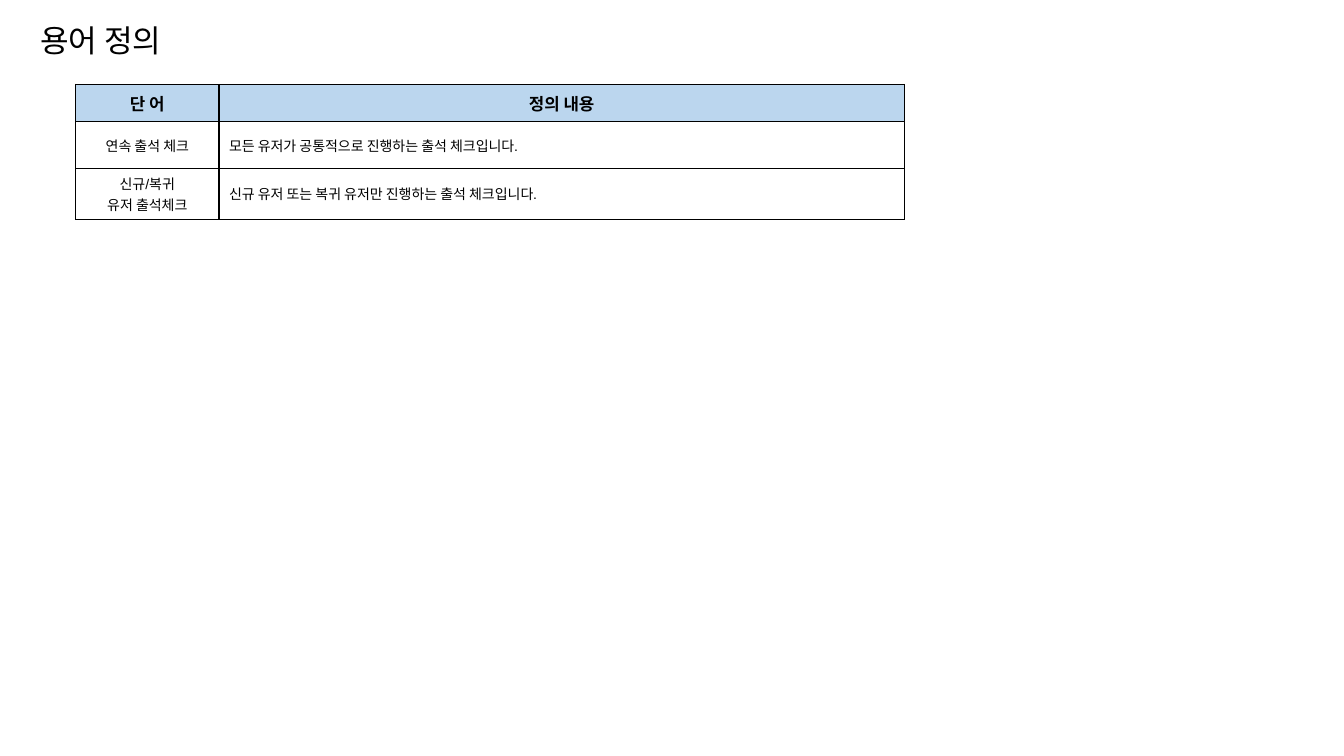
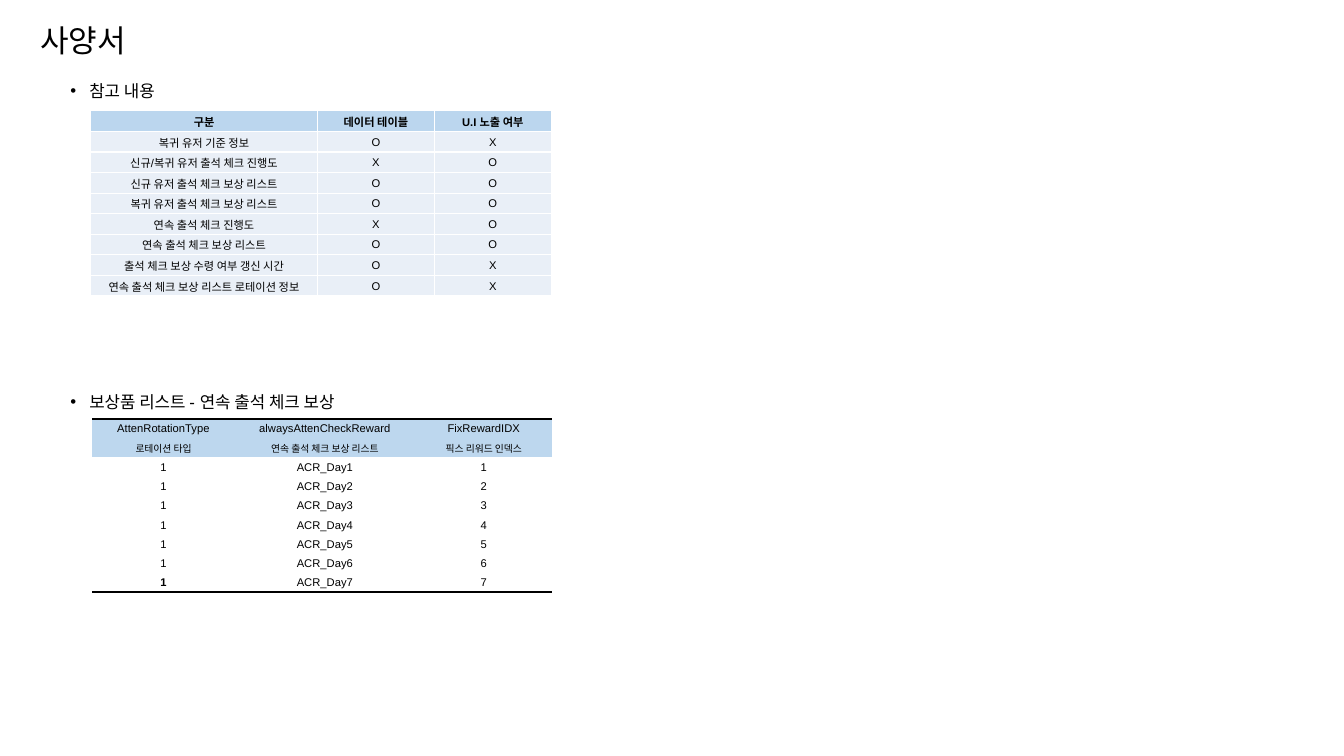
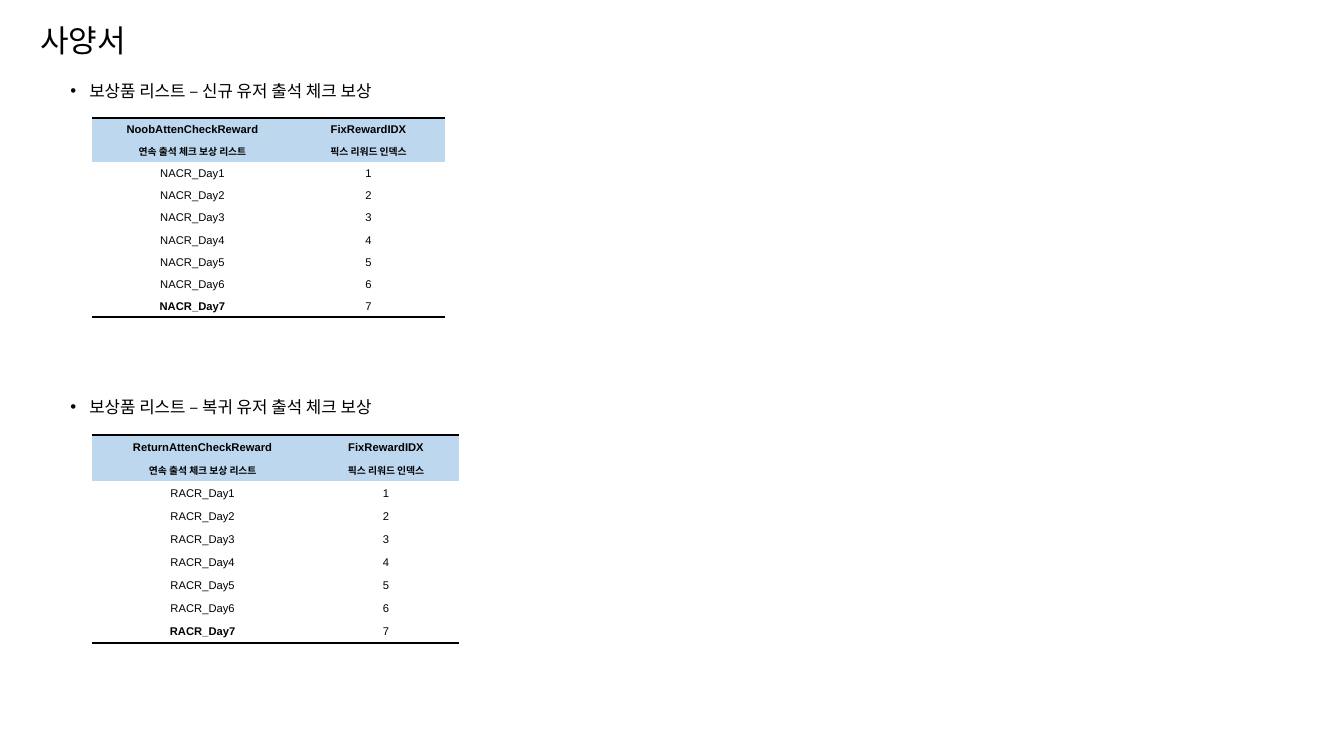
from lxml import etree
from pptx import Presentation
from pptx.dml.color import RGBColor
from pptx.enum.text import MSO_ANCHOR, MSO_AUTO_SIZE, PP_ALIGN
from pptx.oxml.ns import qn
from pptx.util import Pt

LEFT, MID = PP_ALIGN.LEFT, PP_ALIGN.CENTER
TOP, CENTRE = MSO_ANCHOR.TOP, MSO_ANCHOR.MIDDLE
FIXED = MSO_AUTO_SIZE.NONE
FONT = "Arial"
TITLE_ONLY = 5
NO_GRID = "{2D5ABB26-0587-4C30-8999-92F81FD0307C}"
HEX = {"ink": "000000", "paper": "FFFFFF", "head": "BBD6EE",
       "tint": "E9EFF7", "band": "BDD7EE"}
TIGHT = (0.72, 0.72, 0.72, 0)
ROOMY = (7.2, 3.6, 7.2, 3.6)

TERMS = [
    ("단 어", "정의 내용"),
    ("연속 출석 체크", "모든 유저가 공통적으로 진행하는 출석 체크입니다."),
    ("신규/복귀\n유저 출석체크", "신규 유저 또는 복귀 유저만 진행하는 출석 체크입니다."),
]
NOTES = [
    ("구분", "데이터 테이블", "U.I 노출 여부"),
    ("복귀 유저 기준 정보", "O", "X"),
    ("신규/복귀 유저 출석 체크 진행도", "X", "O"),
    ("신규 유저 출석 체크 보상 리스트", "O", "O"),
    ("복귀 유저 출석 체크 보상 리스트", "O", "O"),
    ("연속 출석 체크 진행도", "X", "O"),
    ("연속 출석 체크 보상 리스트", "O", "O"),
    ("출석 체크 보상 수령 여부 갱신 시간", "O", "X"),
    ("연속 출석 체크 보상 리스트 로테이션 정보", "O", "X"),
]
LIST, INDEX = "연속 출석 체크 보상 리스트", "픽스 리워드 인덱스"
DAYS = range(1, 8)
DAILY = [
    ("AttenRotationType", "alwaysAttenCheckReward", "FixRewardIDX"),
    ("로테이션 타입", LIST, INDEX),
    *(("1", f"ACR_Day{day}", str(day)) for day in DAYS),
]


def prize(name, code):
    return [(name, "FixRewardIDX"), (LIST, INDEX),
            *((f"{code}_Day{day}", str(day)) for day in DAYS)]


def style(par, size, bold=False, align=LEFT):
    par.alignment = align
    for run in par.runs:
        font = run.font
        font.name, font.size, font.bold = FONT, Pt(size), bold
        font.color.rgb = RGBColor.from_string(HEX["ink"])


def inset(box, sides):
    box.margin_left, box.margin_top, box.margin_right, box.margin_bottom = map(Pt, sides)


def edge(cell, sides, tone, width):
    props = cell._tc.get_or_add_tcPr()
    for side in sides:
        line = etree.SubElement(props, qn(f"a:ln{side}"), w=str(Pt(width)))
        fill = etree.SubElement(line, qn("a:solidFill"))
        etree.SubElement(fill, qn("a:srgbClr"), val=HEX[tone])


def start(deck, text):
    page = deck.slides.add_slide(deck.slide_layouts[TITLE_ONLY])
    title = page.shapes.title
    title.left, title.top, title.width, title.height = map(Pt, (21.6, 0.7, 467, 46))
    frame = title.text_frame
    frame.text = text
    frame.auto_size, frame.vertical_anchor = FIXED, TOP
    inset(frame, ROOMY)
    par = frame.paragraphs[0]
    par.line_spacing = 1.4
    style(par, 22.2)
    return page


def bullet(page, top, text):
    box = page.shapes.add_textbox(Pt(43.2), Pt(top), Pt(272), Pt(28.8))
    frame = box.text_frame
    frame.word_wrap = True
    frame.text = text
    par = frame.paragraphs[0]
    par.line_spacing = 1.5
    style(par, 12)
    props = par._p.get_or_add_pPr()
    props.set("marL", str(Pt(13.5)))
    props.set("indent", str(Pt(-13.5)))
    tone = etree.SubElement(props, qn("a:buClr"))
    etree.SubElement(tone, qn("a:srgbClr"), val=HEX["ink"])
    etree.SubElement(props, qn("a:buFont"), typeface=FONT)
    etree.SubElement(props, qn("a:buChar"), char="•")


def grid(page, left, top, cols, highs, rows, look):
    shape = page.shapes.add_table(len(rows), len(cols), Pt(left), Pt(top),
                                  Pt(sum(cols)), Pt(sum(highs)))
    table = shape.table
    table.first_row = table.horz_banding = False
    table._tbl.tblPr[0].text = NO_GRID
    for col, width in zip(table.columns, cols):
        col.width = Pt(width)
    for r, (texts, high) in enumerate(zip(rows, highs)):
        table.rows[r].height = Pt(high)
        for c, text in enumerate(texts):
            cell = table.cell(r, c)
            cell.text = text
            cell.vertical_anchor = CENTRE
            tone, size, bold, align, sides, line = look(r, c, len(rows) - 1)
            inset(cell, ROOMY if look is plain else TIGHT)
            edge(cell, sides, *line)
            cell.fill.solid()
            cell.fill.fore_color.rgb = RGBColor.from_string(HEX[tone])
            for par in cell.text_frame.paragraphs:
                style(par, size, bold, align)


def plain(r, c, last):
    line = ("ink", 1)
    if r == 0:
        return "head", 12, True, MID, "LRTB", line
    return "paper", 10, False, LEFT if c else MID, "LRTB", line


def matrix(r, c, last):
    return "tint" if r else "head", 8, r == 0, MID, "LRTB", ("paper", 1)


def ruled(r, c, last, strong=True):
    sides = {0: "T", last: "B"}.get(r, "")
    bold = (strong and r < 2) or (r == last and c == 0)
    return "band" if r < 2 else "paper", 7 if r == 1 else 8, bold, MID, sides, ("ink", 2)


def light(r, c, last):
    return ruled(r, c, last, strong=False)


def main():
    deck = Presentation()
    deck.slide_width, deck.slide_height = Pt(960), Pt(540)

    page = start(deck, "용어 정의")
    grid(page, 54, 60.3, (102.4, 489.6), (26.6, 33.6, 33.6), TERMS, plain)

    pages = [
        ("사양서", [
            (46.8, "참고 내용", 64.8, 79.2, (162, 83.5, 83.5), 14.7, NOTES, matrix),
            (268.8, "보상품 리스트 - 연속 출석 체크 보상",
             66, 299.2, (101.6, 129, 98), 13.77, DAILY, light),
        ]),
        ("사양서", [
            (46.8, "보상품 리스트 – 신규 유저 출석 체크 보상",
             66, 84.2, (143, 108.6), 15.83, prize("NoobAttenCheckReward", "NACR"), ruled),
            (272.8, "보상품 리스트 – 복귀 유저 출석 체크 보상",
             66, 310.8, (157.6, 104.4), 16.5, prize("ReturnAttenCheckReward", "RACR"), ruled),
        ]),
    ]
    for title, parts in pages:
        page = start(deck, title)
        for head, text, left, top, cols, high, rows, look in parts:
            bullet(page, head, text)
            grid(page, left, top, cols, [high] * len(rows), rows, look)
    deck.save("out.pptx")


if __name__ == "__main__":
    main()
